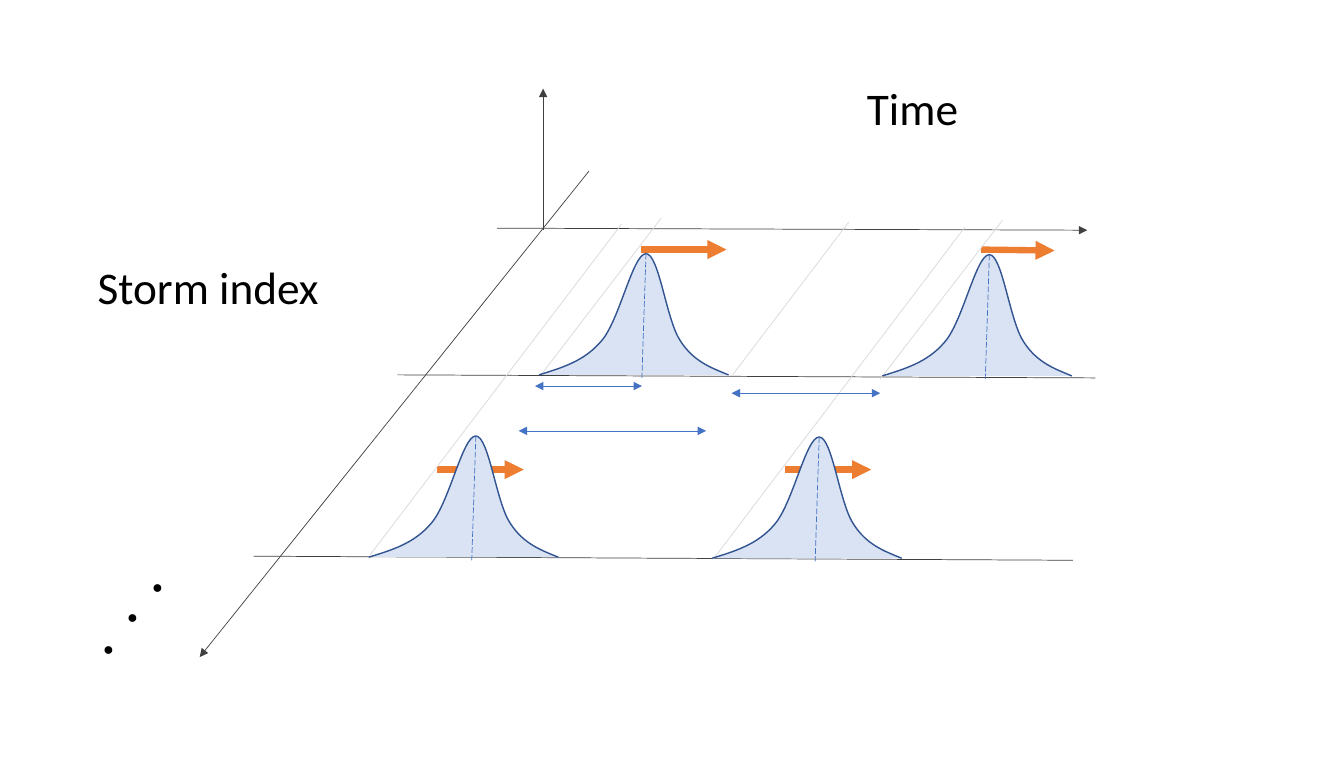
from lxml.etree import SubElement
from pptx import Presentation
from pptx.dml.color import RGBColor
from pptx.enum.dml import MSO_LINE
from pptx.enum.shapes import MSO_CONNECTOR
from pptx.enum.text import MSO_AUTO_SIZE
from pptx.oxml.ns import qn
from pptx.util import Pt

PX = 9144
AXIS, GUIDE, SPAN, ARROW = "404040", "D9D9D9", "4472C4", "ED7D31"
BELL_FILL, BELL_LINE, INK = "DAE3F3", "325491", "000000"
BELL_START = (0, 119)
BELL_CURVES = [
    (22, 112), (44, 106), (61, 86),
    (79, 66), (92, 0), (105, 0),
    (118, 0), (125, 66), (139, 86),
    (152, 106), (169, 112), (186, 119),
]


def px(length):
    """Turn px into EMU."""
    return round(length * PX)


def paint(color_format, color):
    """Set a colour from a hex string."""
    color_format.rgb = RGBColor.from_string(color)


def draw_line(page, origin, ends, color, width=0.5, heads=(), dash=None):
    """Draw a straight line whose ends are relative to the origin."""
    left, top = origin
    x1, y1, x2, y2 = ends
    line = page.shapes.add_connector(
        MSO_CONNECTOR.STRAIGHT, px(left + x1), px(top + y1), px(left + x2), px(top + y2))
    paint(line.line.color, color)
    for name, value in {"width": Pt(width), "dash_style": dash}.items():
        setattr(line.line, name, value)
    properties = line._element.spPr
    outline = properties.find(qn("a:ln"))
    for head in heads:
        SubElement(outline, qn(f"a:{head}"), type="triangle")
    SubElement(properties, qn("a:effectLst"))


def draw_label(page, box, text, size):
    """Write one line of text in a box."""
    label = page.shapes.add_textbox(*map(px, box))
    frame = label.text_frame
    for name, value in {"word_wrap": True, "auto_size": MSO_AUTO_SIZE.SHAPE_TO_FIT_TEXT}.items():
        setattr(frame, name, value)
    span = frame.paragraphs[0].add_run()
    span.text = text
    for name, value in {"name": "Calibri", "size": Pt(size)}.items():
        setattr(span.font, name, value)
    paint(span.font.color, INK)


def curve_outline(shape):
    """Turn each three straight segments into one cubic curve."""
    segments = list(shape._element.iter(qn("a:lnTo")))
    for start in range(0, len(segments), 3):
        group = segments[start:start + 3]
        track = group[0].getparent()
        curve = SubElement(track, qn("a:cubicBezTo"))
        for segment in group:
            curve.append(segment[0])
            track.remove(segment)


def draw_storm(page, origin):
    """Draw a bell-shaped storm with its dashed centre line."""
    left, top = origin
    start, *points = [(px(left + x), px(top + y)) for x, y in [BELL_START, *BELL_CURVES]]
    outline = page.shapes.build_freeform(*start, scale=1.0)
    outline.add_line_segments(points, close=False)
    bell = outline.convert_to_shape()
    curve_outline(bell)
    bell.shadow.inherit = False
    bell.fill.solid()
    paint(bell.fill.fore_color, BELL_FILL)
    paint(bell.line.color, BELL_LINE)
    bell.line.width = Pt(1)
    draw_line(page, origin, (105, 0, 101, 122), SPAN, dash=MSO_LINE.LONG_DASH)


def draw_axes(page, origin):
    """Draw the three axes and the two storm rows."""
    for ends in [(-45, -2, 534, 0), (45, -58, -337, 419), (0, 0, 0, -139)]:
        draw_line(page, origin, ends, AXIS, heads=["tailEnd"])
    for ends in [(-143, 142, 542, 145), (-284, 320, 520, 324)]:
        draw_line(page, origin, ends, AXIS)


def draw_diagram(page, origin):
    """Draw storms, arrows, guides and spans around the axis origin."""
    left, top = origin
    for ends in [(237, 235, 322, 235), (-104, 235, -19, 235),
                 (96, 19, 180, 19), (430, 19, 502, 20)]:
        draw_line(page, origin, ends, ARROW, 4.5, ["tailEnd"])
    draw_axes(page, origin)
    for ends in [(116, -12, -2, 142), (300, -8, 186, 142), (451, -10, 331, 146),
                 (77, -6, -170, 319), (414, -3, 167, 323)]:
        draw_line(page, origin, ends, GUIDE)
    for x, y in [(-4, 23), (333, 24), (-171, 202), (166, 203)]:
        draw_storm(page, (left + x, top + y))
    for ends in [(-8, 153, 97, 153), (185, 160, 331, 160), (-24, 197, 160, 197)]:
        draw_line(page, origin, ends, SPAN, heads=["headEnd", "tailEnd"])


def draw_more_storms(page, box, count=3):
    """Place dots that step down and to the left from a box."""
    left, top, width, height = box
    for index in range(count):
        place = (left - 24 * index, top + 61 * index // 2, width, height)
        draw_label(page, place, "・", 26)


def main():
    """Build and save the slide."""
    deck = Presentation()
    deck.slide_width, deck.slide_height = px(1319), px(750)
    page = deck.slides.add_slide(deck.slide_layouts[6])
    draw_diagram(page, (533, 226))
    draw_more_storms(page, (127, 550, 50, 54))
    draw_label(page, (841, 74, 132, 64), "Time", 32)
    draw_label(page, (86, 250, 254, 64), "Storm index", 32)
    deck.save("out.pptx")


if __name__ == "__main__":
    main()
